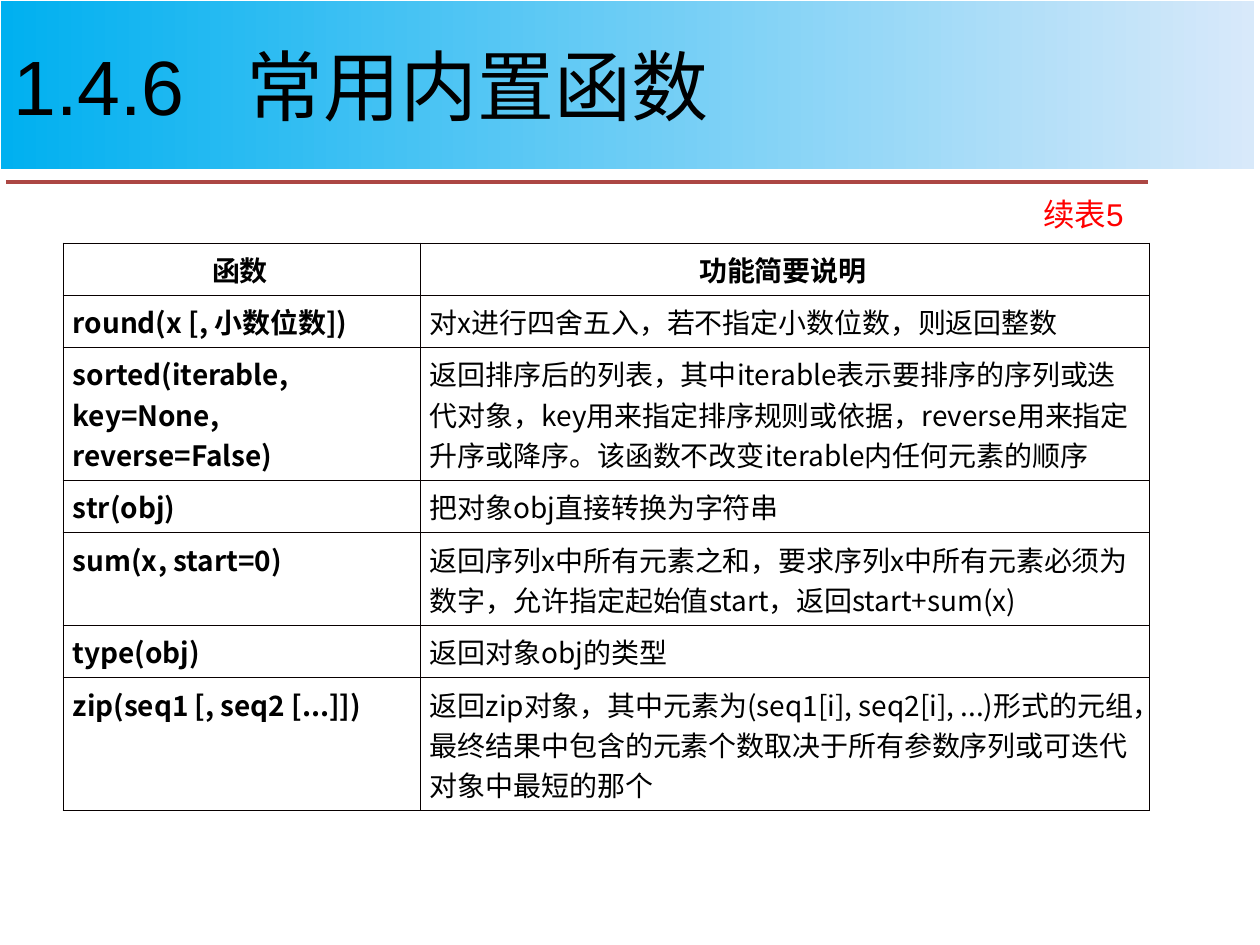
from lxml.etree import SubElement
from pptx import Presentation
from pptx.dml.color import RGBColor as Rgb
from pptx.enum.shapes import MSO_CONNECTOR as Connector
from pptx.enum.text import MSO_ANCHOR as Anchor, MSO_AUTO_SIZE as AutoSize, PP_ALIGN as Align
from pptx.oxml import parse_xml
from pptx.oxml.ns import nsdecls, qn
from pptx.util import Emu, Pt

PX_PER_INCH = 126
COLORS = {
    "sky": "00B0F0",
    "mist": "D8E9FA",
    "rule": "AC4744",
    "note": "FF0000",
    "text": "000000",
    "grid": "080000",
}
LATIN = "Arial"
HAN = "Noto Sans CJK SC"
COLUMNS = [357, 729]
ROW_HEIGHTS = [42, 45, 113, 45, 73, 45, 117]
ROWS = [
    ("函数", "功能简要说明"),
    ("round(x [, 小数位数])", "对x进行四舍五入，若不指定小数位数，则返回整数"),
    ("sorted(iterable, key=None, reverse=False)",
     "返回排序后的列表，其中iterable表示要排序的序列或迭代对象，"
     "key用来指定排序规则或依据，reverse用来指定升序或降序。"
     "该函数不改变iterable内任何元素的顺序"),
    ("str(obj)", "把对象obj直接转换为字符串"),
    ("sum(x, start=0)",
     "返回序列x中所有元素之和，要求序列x中所有元素必须为数字，"
     "允许指定起始值start，返回start+sum(x)"),
    ("type(obj)", "返回对象obj的类型"),
    ("zip(seq1 [, seq2 [...]])",
     "返回zip对象，其中元素为(seq1[i], seq2[i], ...)形式的元组，"
     "最终结果中包含的元素个数取决于所有参数序列或可迭代对象中最短的那个"),
]


def px(length):
    return Emu(round(length * 914400 / PX_PER_INCH))


def color(name):
    return Rgb.from_string(COLORS[name])


def write(frame, text, size, font=LATIN, ink="text", bold=False, align=Align.LEFT, tab=None):
    frame.word_wrap = True
    para = frame.paragraphs[0]
    para.alignment = align
    if tab:
        stops = SubElement(para._p.get_or_add_pPr(), qn("a:tabLst"))
        SubElement(stops, qn("a:tab"), pos=str(px(tab)), algn="l")
    span = para.add_run()
    span.text = text
    span.font.size = Pt(size)
    span.font.bold = bold
    span.font.name = font
    span.font.color.rgb = color(ink)
    SubElement(span._r.get_or_add_rPr(), qn("a:ea"), typeface=HAN)


def add_banner(page, left, top, width, height):
    title = page.shapes.title
    title.left, title.top, title.width, title.height = map(px, (left, top, width, height))
    title.fill.gradient()
    title.fill.gradient_angle = 0
    for stop, name in zip(title.fill.gradient_stops, ("sky", "mist")):
        stop.color.rgb = color(name)
    frame = title.text_frame
    frame.auto_size = AutoSize.NONE
    frame.vertical_anchor = Anchor.MIDDLE
    write(frame, "1.4.6\t常用内置函数", 44, tab=233)


def add_rule(page, left, top, width):
    rule = page.shapes.add_connector(
        Connector.STRAIGHT, px(left), px(top), px(left + width), px(top))
    rule.line.color.rgb = color("rule")
    rule.line.width = Pt(2.25)
    SubElement(rule._element.spPr, qn("a:effectLst"))


def add_note(page, left, top, width, height):
    box = page.shapes.add_textbox(*map(px, (left, top, width, height)))
    write(box.text_frame, "续表5", 18, ink="note", align=Align.RIGHT)
    box.text_frame.auto_size = AutoSize.SHAPE_TO_FIT_TEXT


def add_borders(cell):
    properties = cell._tc.get_or_add_tcPr()
    for index, side in enumerate("LRTB"):
        properties.insert(index, parse_xml(
            f'<a:ln{side} {nsdecls("a")} w="{Pt(0.45)}"><a:solidFill>'
            f'<a:srgbClr val="{COLORS["grid"]}"/></a:solidFill></a:ln{side}>'))


def add_function_table(page, left, top):
    table = page.shapes.add_table(
        len(ROWS), len(COLUMNS), px(left), px(top),
        px(sum(COLUMNS)), px(sum(ROW_HEIGHTS))).table
    table.first_row = table.horz_banding = False
    for column, width in zip(table.columns, COLUMNS):
        column.width = px(width)
    for i, (row, height, texts) in enumerate(zip(table.rows, ROW_HEIGHTS, ROWS)):
        row.height = px(height)
        for j, (cell, text) in enumerate(zip(row.cells, texts)):
            cell.margin_left, cell.margin_right = px(10), px(13)
            cell.margin_top = cell.margin_bottom = px(6)
            cell.fill.background()
            add_borders(cell)
            write(cell.text_frame, text, 16, font=HAN, bold=i == 0 or j == 0,
                  align=Align.CENTER if i == 0 else Align.LEFT)


def main():
    deck = Presentation()
    deck.slide_width, deck.slide_height = px(1260), px(945)
    page = deck.slides.add_slide(deck.slide_layouts[5])
    add_banner(page, 1, 1, 1253, 168)
    add_rule(page, 6, 182, 1142)
    add_function_table(page, 63, 243)
    add_note(page, 954, 189, 182, 50)
    deck.save("out.pptx")


if __name__ == "__main__":
    main()
